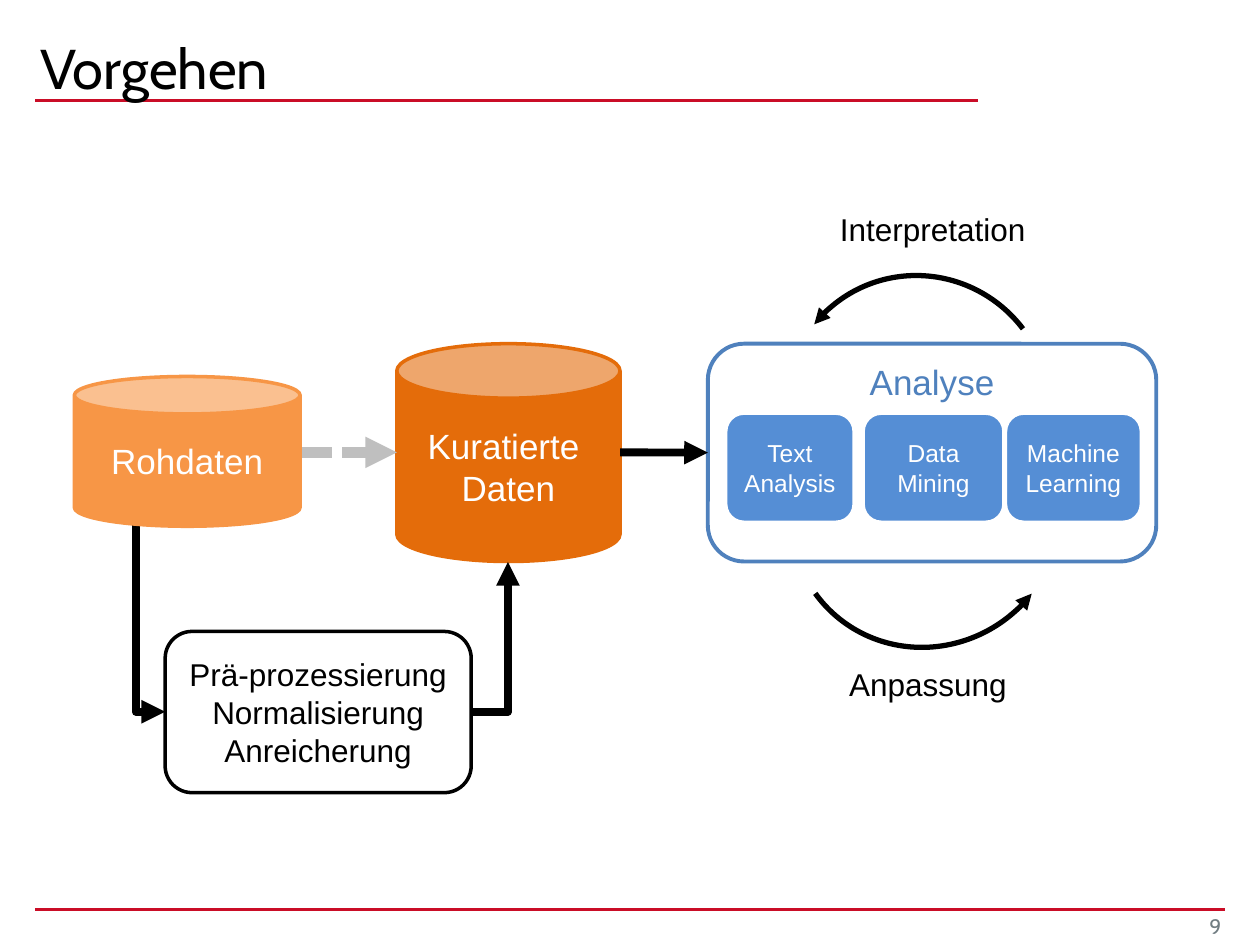
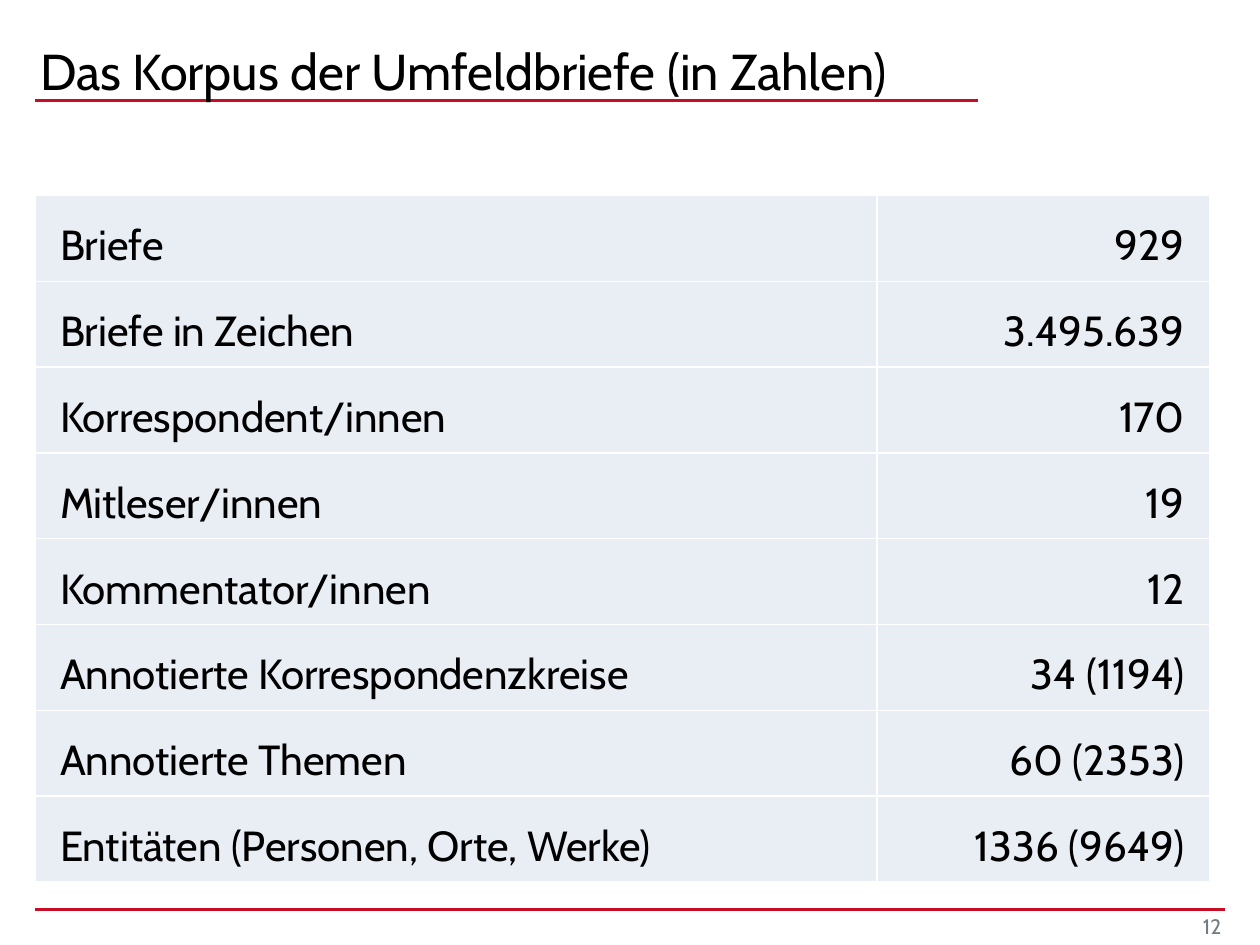
from lxml import etree
from pptx import Presentation
from pptx import util as u
from pptx.dml import color
from pptx.enum import dml, shapes, text
from pptx.oxml import ns

RED, BLACK, WHITE, GRAY = "CA0D27", "000000", "FFFFFF", "717D82"
BLUE, LIGHT_BLUE, SILVER, PALE = "4F81BD", "558ED5", "BFBFBF", "E9EDF4"
ORANGE, DARK_ORANGE = "F79646", "E46C0A"
LEFT = 0.71
ROUNDED = shapes.MSO_SHAPE.ROUNDED_RECTANGLE
CAN = shapes.MSO_SHAPE.CAN
ARC = shapes.MSO_SHAPE.ARC
CENTER, RIGHT = text.PP_ALIGN.CENTER, text.PP_ALIGN.RIGHT
TOP, MIDDLE, BOTTOM = (text.MSO_ANCHOR.TOP, text.MSO_ANCHOR.MIDDLE,
                       text.MSO_ANCHOR.BOTTOM)


def rgb(value):
    """Turn a hex string into a colour."""
    return color.RGBColor.from_string(value)


def add_child(parent, tag, **attributes):
    """Append a DrawingML element and return it."""
    return etree.SubElement(parent, ns.qn(tag), **attributes)


class Deck:
    """Hold the house style and the current slide."""

    def __init__(self):
        """Start a 4:3 presentation."""
        self.presentation = Presentation()
        self.presentation.slide_width = u.Cm(25.4)
        self.presentation.slide_height = u.Cm(19.05)
        self.slide = None

    def add_slide(self, title, number, title_size=32):
        """Add a slide with its rules, title and page number."""
        layout = self.presentation.slide_layouts[6]
        self.slide = self.presentation.slides.add_slide(layout)
        self.line(LEFT, 2.03, 19.71, 2.03, RED, 1.75)
        self.line(LEFT, 18.34, 24.69, 18.34, RED, 1.75)
        box = self.text_box(title, LEFT, 0.15, 19, 1.88, title_size, font="Cabin",
                            anchor=BOTTOM, margins=(0.1, 0, 0.1, 0))
        box.text_frame.paragraphs[0].line_spacing = u.Pt(28)
        self.text_box(str(number), 22.61, 18.42, 2.11, 0.51, 12, GRAY, "Cabin",
                      RIGHT, MIDDLE, (0.1,) * 4)

    def set_text(self, frame, content, size, ink=BLACK, font="Arial", align=None):
        """Put text into a frame and format its runs."""
        frame.text = content
        for paragraph in frame.paragraphs:
            paragraph.alignment = align
            for run in paragraph.runs:
                run.font.size = u.Pt(size)
                run.font.name = font
                run.font.color.rgb = rgb(ink)

    def text_box(self, content, left, top, width, height, size, ink=BLACK,
                 font="Arial", align=None, anchor=TOP,
                 margins=(0.25, 0.13, 0.25, 0.13)):
        """Add a wrapping text box."""
        box = self.slide.shapes.add_textbox(*map(u.Cm, (left, top, width, height)))
        frame = box.text_frame
        frame.word_wrap = True
        self.set_margins(frame, margins)
        frame.vertical_anchor = anchor
        self.set_text(frame, content, size, ink, font, align)
        return box

    def set_margins(self, holder, margins):
        """Set left, top, right and bottom margins of a frame or cell."""
        (holder.margin_left, holder.margin_top,
         holder.margin_right, holder.margin_bottom) = map(u.Cm, margins)

    def shape(self, kind, left, top, width, height, fill, border, weight=2):
        """Add a preset shape; a fill of None leaves it open."""
        shape = self.slide.shapes.add_shape(
            kind, *map(u.Cm, (left, top, width, height)))
        shape.shadow.inherit = False
        if fill:
            shape.fill.solid()
            shape.fill.fore_color.rgb = rgb(fill)
        else:
            shape.fill.background()
        shape.line.color.rgb = rgb(border)
        shape.line.width = u.Pt(weight)
        return shape

    def label_shape(self, kind, content, place, fill, border, size, ink=WHITE,
                    weight=2, anchor=MIDDLE):
        """Add a preset shape with centred text."""
        shape = self.shape(kind, *place, fill, border, weight)
        shape.text_frame.word_wrap = True
        shape.text_frame.vertical_anchor = anchor
        self.set_text(shape.text_frame, content, size, ink, align=CENTER)
        return shape

    def arrowhead(self, shape, end):
        """Put a triangle on the headEnd or tailEnd of a line."""
        outline = shape._element.spPr.find(ns.qn("a:ln"))
        add_child(outline, f"a:{end}", type="triangle")

    def line(self, x1, y1, x2, y2, ink, weight,
             kind=shapes.MSO_CONNECTOR.STRAIGHT):
        """Add a connector without a shadow."""
        line = self.slide.shapes.add_connector(kind, *map(u.Cm, (x1, y1, x2, y2)))
        line.line.color.rgb = rgb(ink)
        line.line.width = u.Pt(weight)
        add_child(line._element.spPr, "a:effectLst")
        return line

    def elbow(self, x1, y1, x2, y2, arrow_end):
        """Add a one-bend connector that leaves its start horizontally."""
        line = self.line(x1, y1, x2, y2, BLACK, 4.5, shapes.MSO_CONNECTOR.ELBOW)
        geometry = line._element.spPr.find(ns.qn("a:prstGeom"))
        geometry.set("prst", "bentConnector2")
        self.arrowhead(line, arrow_end)

    def arc(self, left, top, width, height, rotation, end_angle):
        """Add a curved arrow."""
        arc = self.shape(ARC, left, top, width, height, None, BLACK, 3)
        arc.adjustments[0] = 155.51
        arc.adjustments[1] = end_angle
        arc.rotation = rotation
        self.arrowhead(arc, "headEnd")

    def table(self, rows, left, top, widths, row_height):
        """Add a table of labels and right-aligned figures."""
        frame = self.slide.shapes.add_table(
            len(rows), len(widths), u.Cm(left), u.Cm(top),
            u.Cm(sum(widths)), u.Cm(row_height * len(rows)))
        table = frame.table
        table.first_row = table.horz_banding = False
        for column, width in zip(table.columns, widths):
            column.width = u.Cm(width)
        for row, values in zip(table.rows, rows):
            row.height = u.Cm(row_height)
            for cell, value, align in zip(row.cells, values, (None, RIGHT)):
                self.set_margins(cell, (0.5, 0.5, 0.5, 0.2))
                cell.vertical_anchor = BOTTOM
                self.set_text(cell.text_frame, value, 24, font="Cabin", align=align)
                self.cell_borders(cell)
                cell.fill.solid()
                cell.fill.fore_color.rgb = rgb(PALE)

    def cell_borders(self, cell):
        """Draw thin white borders around a cell."""
        properties = cell._tc.get_or_add_tcPr()
        for side in ("lnL", "lnR", "lnT", "lnB"):
            border = add_child(properties, f"a:{side}", w=str(u.Pt(1)))
            fill = add_child(border, "a:solidFill")
            add_child(fill, "a:srgbClr", val=WHITE)


def build_process(deck):
    """Build the data workflow slide."""
    deck.add_slide("Vorgehen", 9)
    deck.label_shape(ROUNDED, "Prä-prozessierung\vNormalisierung\vAnreicherung",
                     (3.33, 12.73, 6.17, 3.25), None, BLACK, 18, BLACK)
    analysis = deck.label_shape(ROUNDED, "Analyse", (14.27, 6.93, 9.04, 4.39),
                                WHITE, BLUE, 20, BLUE, 2.25, TOP)
    for method, left, width in (("Text Analysis", 14.63, 2.59),
                                ("Machine Learning", 20.27, 2.74),
                                ("Data Mining", 17.4, 2.84)):
        deck.label_shape(ROUNDED, method, (left, 8.33, width, 2.2),
                         LIGHT_BLUE, WHITE, 14)
    deck.label_shape(CAN, "Kuratierte \vDaten", (8, 6.93, 4.5, 4.39),
                     DARK_ORANGE, DARK_ORANGE, 20)

    shortcut = deck.line(6.05, 9.12, 8, 9.12, SILVER, 6)
    shortcut.line.dash_style = dml.MSO_LINE.SQUARE_DOT
    deck.arrowhead(shortcut, "tailEnd")
    to_analysis = deck.line(12.5, 9.12, 14.27, 9.12, BLACK, 4.5)
    to_analysis.end_connect(analysis, 1)
    deck.arrowhead(to_analysis, "tailEnd")
    deck.elbow(9.5, 14.35, 10.24, 11.33, "tailEnd")
    deck.elbow(3.33, 14.35, 2.74, 10.57, "headEnd")
    deck.label_shape(CAN, "Rohdaten", (1.5, 7.59, 4.55, 3.02),
                     ORANGE, ORANGE, 20)

    deck.text_box("Interpretation", 16.48, 4.11, 4.65, 1.03, 18, align=CENTER)
    deck.text_box("Anpassung", 16.87, 13.28, 6.5, 1.03, 18)
    deck.arc(15.85, 5.54, 5.31, 5.38, 319.8, 1.88)
    deck.arc(15.9, 7.65, 5.54, 5.36, 138.4, 3.29)


def build_corpus(deck):
    """Build the corpus figures slide."""
    deck.add_slide("Das Korpus der Umfeldbriefe (in Zahlen)", 12, 28.8)
    figures = (
        ("Briefe", "929"),
        ("Briefe in Zeichen", "3.495.639"),
        ("Korrespondent/innen", "170"),
        ("Mitleser/innen", "19"),
        ("Kommentator/innen", "12"),
        ("Annotierte Korrespondenzkreise", "34 (1194)"),
        ("Annotierte Themen", "60 (2353)"),
        ("Entitäten (Personen, Orte, Werke)", "1336 (9649)"),
    )
    deck.table(figures, LEFT, 3.94, (16.97, 6.7), 1.73)


def main():
    """Build and save the slides."""
    deck = Deck()
    build_process(deck)
    build_corpus(deck)
    deck.presentation.save("out.pptx")


if __name__ == "__main__":
    main()
